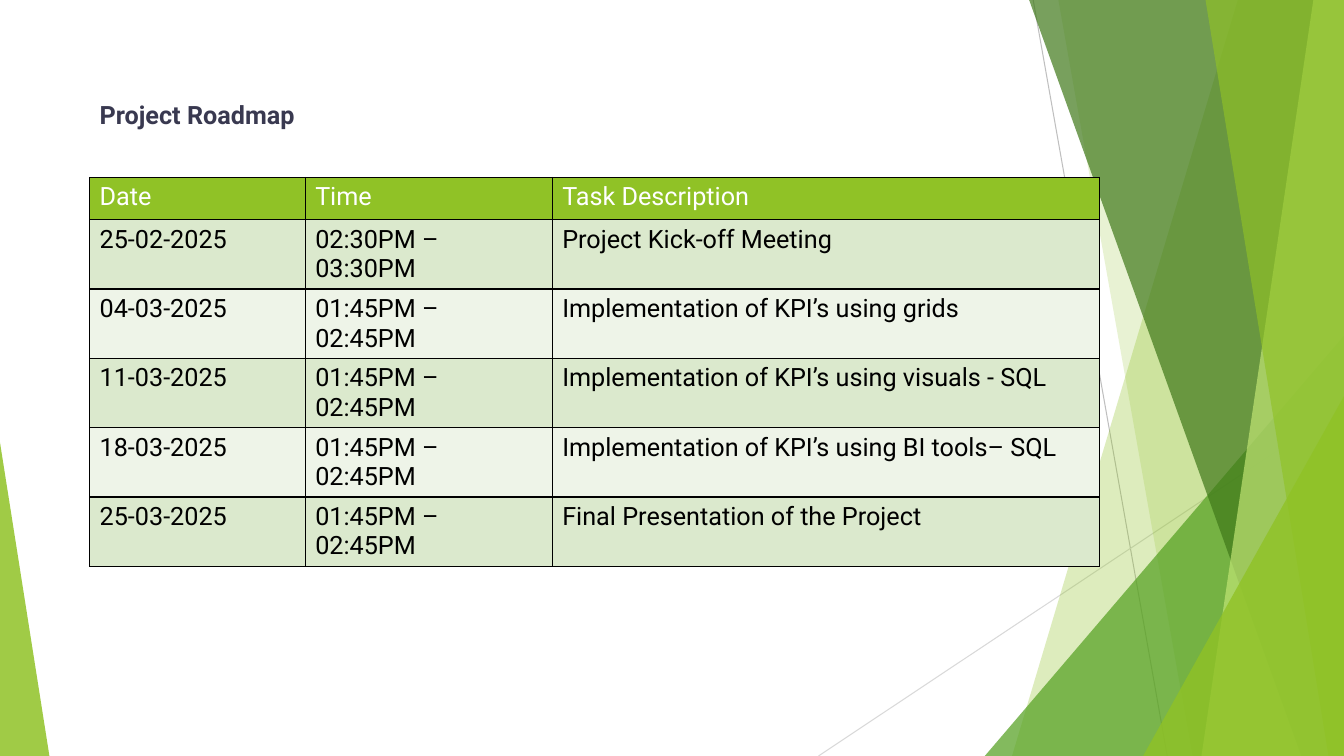
from lxml.etree import SubElement
from pptx import Presentation
from pptx.dml.color import RGBColor as RGB
from pptx.enum.shapes import MSO_CONNECTOR as LINK, MSO_SHAPE as SHAPE
from pptx.enum.text import MSO_ANCHOR as ANCHOR, PP_ALIGN as ALIGN
from pptx.oxml.ns import qn
from pptx.util import Pt

WIDE, HIGH = 960, 540
COLORS = {
    "lime": "90C226", "green": "54A021", "dark": "3F7819", "pale": "C0E474",
    "grey": "BFBFBF", "light": "D9D9D9", "ink": "393950", "black": "000000",
    "white": "FFFFFF", "odd": "DBE9CD", "even": "EEF4E8",
}
HEAD = {"size": Pt(18), "name": "Roboto", "bold": True}
BODY = {**HEAD, "bold": False}

RAYS = [
    ((738, 0), (833.76, 540), "grey"),
    ((960, 290.16), (584.64, 540), "light"),
]
# Bands run to the right edge: top left x, bottom left x, colour, opacity.
# Wedges are right triangles: left, top, width, apex, colour, opacity.
SHARDS = [
    ("band", (884.16, 722.88), "lime", 30),
    ("band", (756, 851.76), "lime", 20),
    ("wedge", (703.44, 239.76, 256.56, 1), "green", 72),
    ("band", (735.12, 929.52), "dark", 70),
    ("band", (938.16, 858.24), "pale", 70),
    ("band", (861.12, 948.96), "lime", 65),
    ("wedge", (816.48, 282.96, 143.52, 1), "lime", 80),
    ("wedge", (0, 316.08, 35.28, 0), "lime", 85),
]
COLS = [154, 176.5, 391]
ROWS = [
    ("Date", "Time", "Task Description"),
    ("25-02-2025", "02:30PM – 03:30PM", "Project Kick-off Meeting"),
    ("04-03-2025", "01:45PM – 02:45PM", "Implementation of KPI’s using grids"),
    ("11-03-2025", "01:45PM – 02:45PM", "Implementation of KPI’s using visuals - SQL"),
    ("18-03-2025", "01:45PM – 02:45PM", "Implementation of KPI’s using BI tools– SQL"),
    ("25-03-2025", "01:45PM – 02:45PM", "Final Presentation of the Project"),
]


def rgb(name):
    return RGB.from_string(COLORS[name])


def style(font, form, color):
    for key, value in form.items():
        setattr(font, key, value)
    font.color.rgb = rgb(color)


def draw_ray(slide, start, end, color):
    ray = slide.shapes.add_connector(LINK.STRAIGHT, *map(Pt, start + end))
    ray.line.color.rgb = rgb(color)
    ray.line.width = Pt(0.75)
    SubElement(ray._element.spPr, qn("a:effectLst"))


def band(slide, top, base):
    pen = slide.shapes.build_freeform(Pt(top), 0)
    pen.add_line_segments(
        [(Pt(x), Pt(y)) for x, y in [(WIDE, 0), (WIDE, HIGH), (base, HIGH)]])
    return pen.convert_to_shape()


def wedge(slide, left, top, width, apex):
    shape = slide.shapes.add_shape(
        SHAPE.ISOSCELES_TRIANGLE, *map(Pt, (left, top, width, HIGH - top)))
    shape.adjustments[0] = apex
    return shape


def draw_facets(slide):
    for ray in RAYS:
        draw_ray(slide, *ray)
    makers = {"band": band, "wedge": wedge}
    for kind, place, color, alpha in SHARDS:
        shard = makers[kind](slide, *place)
        shard.shadow.inherit = False
        shard.line.fill.background()
        shard.fill.solid()
        shard.fill.fore_color.rgb = rgb(color)
        tint = next(shard._element.spPr.iter(qn("a:srgbClr")))
        SubElement(tint, qn("a:alpha"), val=str(alpha * 1000))


def set_title(slide, text, left, top, width, height):
    title = slide.shapes.title
    box = {"left": left, "top": top, "width": width, "height": height}
    for key, value in box.items():
        setattr(title, key, Pt(value))
    frame = title.text_frame
    frame.text = text
    frame.word_wrap = True
    frame.vertical_anchor = ANCHOR.TOP
    para = frame.paragraphs[0]
    para.alignment = ALIGN.LEFT
    style(para.font, HEAD, "ink")


def add_borders(cell):
    props = cell._tc.get_or_add_tcPr()
    for spot, side in enumerate(("lnL", "lnR", "lnT", "lnB")):
        edge = props.makeelement(qn(f"a:{side}"), {"w": str(Pt(1))})
        fill = SubElement(edge, qn("a:solidFill"))
        SubElement(fill, qn("a:srgbClr"), val=COLORS["black"])
        props.insert(spot, edge)


def add_plan(slide, left, top, head, step):
    """Place the schedule with a header row and equal rows below it."""
    height = head + step * (len(ROWS) - 1)
    table = slide.shapes.add_table(
        len(ROWS), len(COLS), *map(Pt, (left, top, sum(COLS), height))).table
    for col, width in zip(table.columns, COLS):
        col.width = Pt(width)
    for r, texts in enumerate(ROWS):
        table.rows[r].height = Pt(step if r else head)
        fill = ("odd" if r % 2 else "even") if r else "lime"
        for c, text in enumerate(texts):
            cell = table.cell(r, c)
            cell.text = text
            cell.fill.solid()
            cell.fill.fore_color.rgb = rgb(fill)
            style(cell.text_frame.paragraphs[0].font, BODY,
                  "black" if r else "white")
            add_borders(cell)


def main():
    deck = Presentation()
    deck.slide_width, deck.slide_height = Pt(WIDE), Pt(HIGH)
    slide = deck.slides.add_slide(deck.slide_layouts.get_by_name("Title Only"))
    draw_facets(slide)
    add_plan(slide, 64, 126.75, 30.25, 49.5)
    set_title(slide, "Project Roadmap", 64, 67, 480, 29)
    deck.save("out.pptx")


if __name__ == "__main__":
    main()
